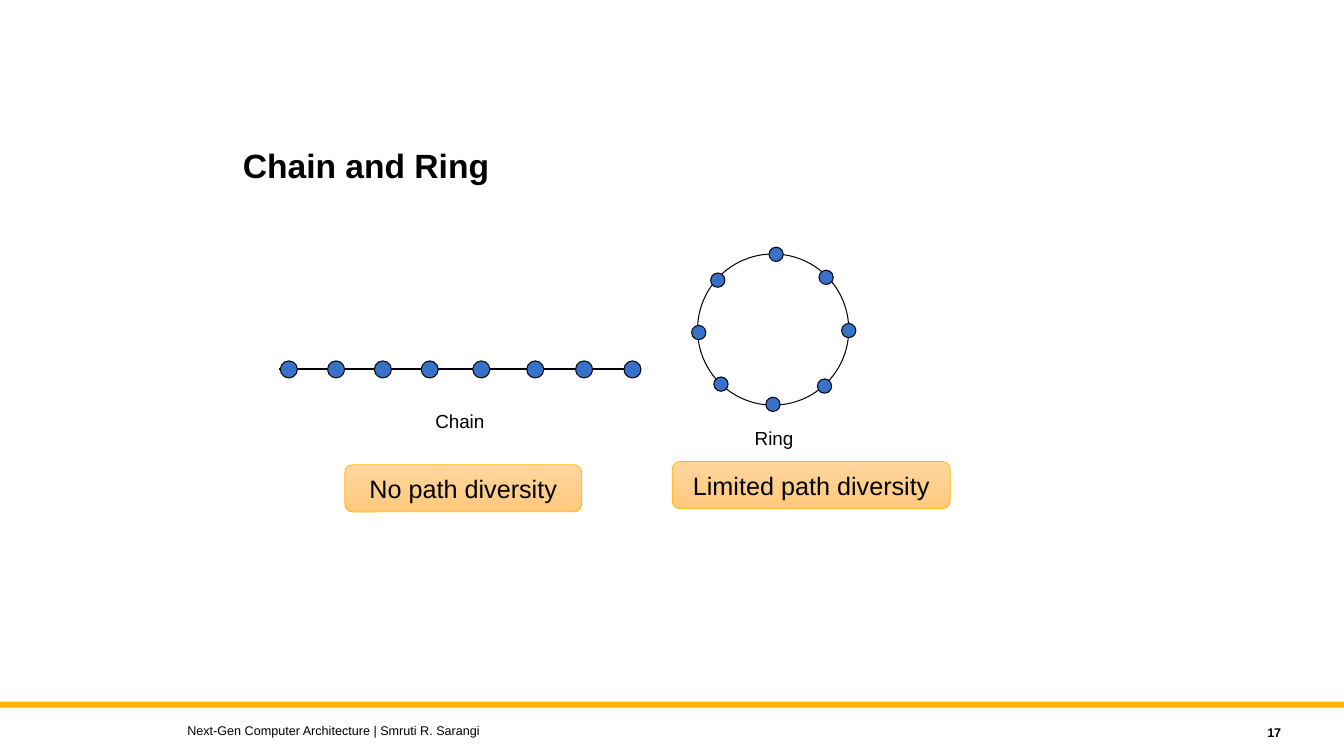
from dataclasses import dataclass
from typing import Any

from lxml.etree import SubElement
from pptx import Presentation
from pptx.dml.color import RGBColor as Rgb
from pptx.enum.shapes import MSO_CONNECTOR as Link, MSO_SHAPE as Kind
from pptx.enum.text import MSO_ANCHOR as Anchor, MSO_AUTO_SIZE as Fit, PP_ALIGN as Align
from pptx.oxml.ns import qn
from pptx.util import Cm, Pt

INK = "03040B"
BLUE = "3771C8"
GOLD = "FFB600"
BLACK = "000000"


@dataclass(frozen=True)
class Box:
    left: float
    top: float
    width: float
    height: float

    def lengths(self) -> tuple:
        return Cm(self.left), Cm(self.top), Cm(self.width), Cm(self.height)


@dataclass(frozen=True)
class Label:
    text: str
    box: Box
    size: float
    bold: bool = False
    align: Any = Align.LEFT
    anchor: Any = Anchor.MIDDLE


@dataclass(frozen=True)
class Node:
    x: float
    y: float
    size: float


FOOT = [
    Label("Next-Gen Computer Architecture | Smruti R. Sarangi",
          Box(4.47, 18.08, 20.32, 0.64), 9),
    Label("17", Box(28.98, 18.14, 3.56, 0.64), 9, True, Align.RIGHT),
]
NAMES = [
    Label("Chain", Box(10.72, 10.21, 4.45, 0.84), 13.5, anchor=Anchor.TOP),
    Label("Ring", Box(18.77, 10.62, 4.45, 0.84), 13.5, anchor=Anchor.TOP),
]
NOTES = [
    Label("No path diversity", Box(8.69, 11.71, 5.97, 1.19), 18, align=Align.CENTER),
    Label("Limited path diversity", Box(16.94, 11.63, 7.01, 1.19), 18, align=Align.CENTER),
]
TITLE = Label("Chain and Ring", Box(6.12, 3.25, 15.44, 1.96), 24, True)

RING = [Node(x, y, 0.36) for x, y in (
    (20.82, 6.99), (21.39, 8.33), (20.78, 9.73), (18.17, 9.68),
    (17.61, 8.38), (18.09, 7.06), (19.56, 6.41), (19.48, 10.19))]
CHAIN = [Node(x, 9.31, 0.43) for x in (
    7.28, 8.47, 9.65, 10.83, 12.13, 13.49, 14.72, 15.94)]


def color(code: str) -> Rgb:
    return Rgb.from_string(code)


def apply(target: Any, values: dict) -> None:
    for name, value in values.items():
        setattr(target, name, value)


def write(shape: Any, label: Label) -> None:
    frame = shape.text_frame
    frame.text = label.text
    apply(frame, {"word_wrap": True, "auto_size": Fit.NONE,
                  "vertical_anchor": label.anchor})
    line = frame.paragraphs[0]
    line.alignment = label.align
    font = line.runs[0].font
    apply(font, {"name": "Arial", "size": Pt(label.size), "bold": label.bold})
    font.color.rgb = color(BLACK)


def shape(slide: Any, kind: Any, box: Box, fill: str = "", edge: str = "",
          width: float = 0) -> Any:
    item = slide.shapes.add_shape(kind, *box.lengths())
    item.shadow.inherit = False
    if fill:
        item.fill.solid()
        item.fill.fore_color.rgb = color(fill)
    else:
        item.fill.background()
    if edge:
        item.line.color.rgb = color(edge)
        item.line.width = Pt(width)
    else:
        item.line.fill.background()
    return item


def text(slide: Any, label: Label) -> None:
    write(slide.shapes.add_textbox(*label.box.lengths()), label)


def dot(slide: Any, node: Node) -> None:
    half = node.size / 2
    box = Box(node.x - half, node.y - half, node.size, node.size)
    shape(slide, Kind.OVAL, box, BLUE, INK)


def wire(slide: Any, start: float, end: float, y: float) -> None:
    line = slide.shapes.add_connector(Link.STRAIGHT, Cm(start), Cm(y), Cm(end), Cm(y))
    line.line.color.rgb = color(INK)
    line.line.width = Pt(0)
    SubElement(line._element.spPr, qn("a:effectLst"))


def note(slide: Any, label: Label) -> None:
    item = shape(slide, Kind.ROUNDED_RECTANGLE, label.box, edge=GOLD, width=0.5)
    item.fill.gradient()
    item.fill.gradient_angle = 270
    for stop, code in zip(item.fill.gradient_stops, ("FFD69E", "FFC97C")):
        stop.color.rgb = color(code)
    write(item, label)


def head(slide: Any, label: Label) -> None:
    title = slide.shapes.title
    sides = ("left", "top", "width", "height")
    apply(title, dict(zip(sides, label.box.lengths())))
    write(title, label)
    margins = ("margin_left", "margin_top", "margin_right", "margin_bottom")
    apply(title.text_frame, dict.fromkeys(margins, 0))
    title.text_frame.paragraphs[0].line_spacing = 0.9


def main() -> None:
    deck = Presentation()
    apply(deck, {"slide_width": Cm(33.87), "slide_height": Cm(19.05)})
    slide = deck.slides.add_slide(deck.slide_layouts[5])
    head(slide, TITLE)
    shape(slide, Kind.RECTANGLE, Box(0, 17.68, 33.87, 0.15), GOLD)
    shape(slide, Kind.OVAL, Box(17.58, 6.4, 3.81, 3.81), edge=INK)
    wire(slide, 7.04, 16.05, 9.3)
    for node in RING + CHAIN:
        dot(slide, node)
    for label in FOOT + NAMES:
        text(slide, label)
    for label in NOTES:
        note(slide, label)
    deck.save("out.pptx")


if __name__ == "__main__":
    main()
